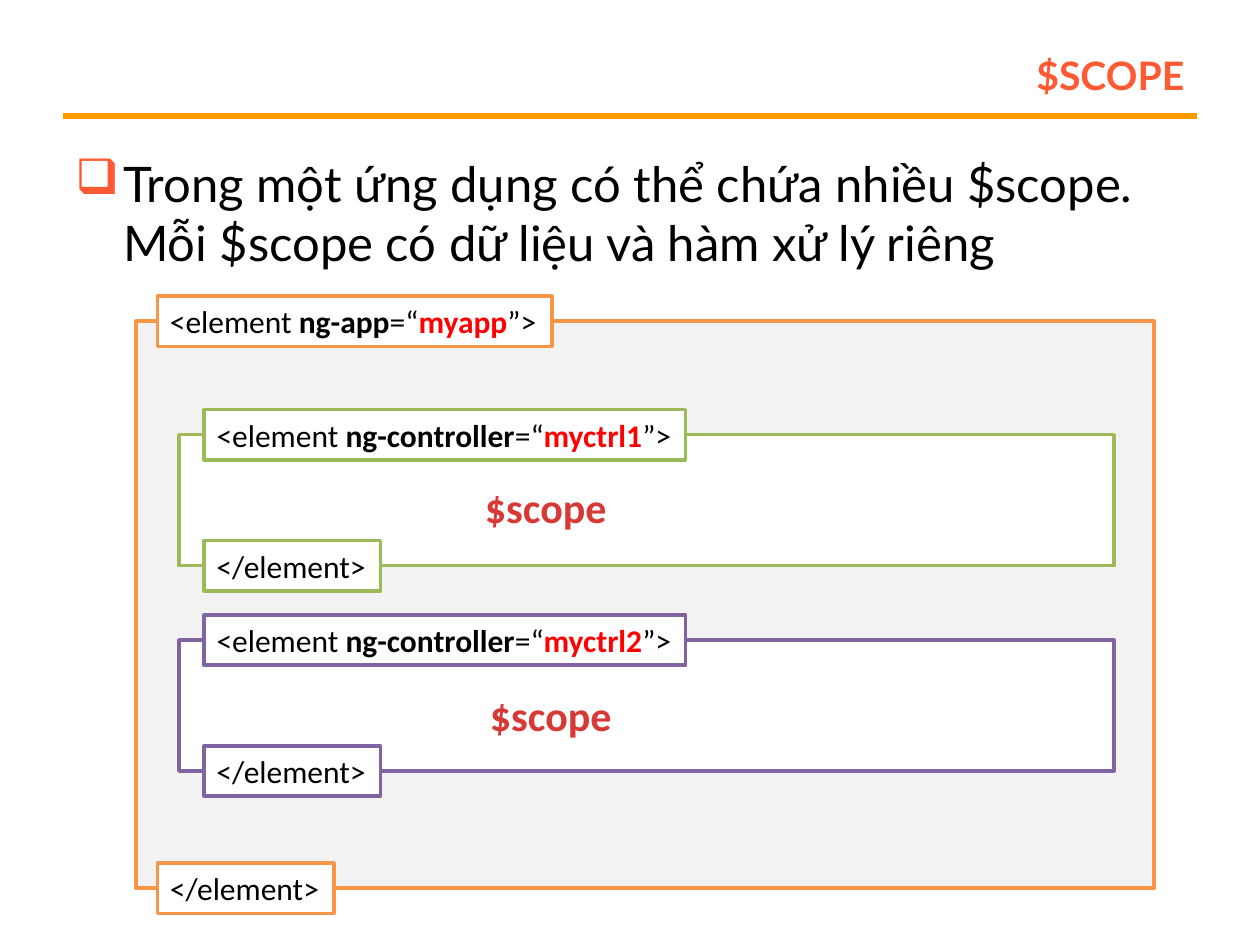
from dataclasses import dataclass

from lxml import etree
from pptx import Presentation
from pptx import util as u
from pptx.dml.color import RGBColor
from pptx.enum import shapes, text
from pptx.oxml.ns import qn

COLOURS = {
    "title": "FF5A33", "rule": "FF9900", "ink": "000000", "value": "FF0000",
    "scope": "D73A36", "white": "FFFFFF", "panel": "F2F2F2",
    "app": "F79646", "ctrl1": "9BBB59", "ctrl2": "8064A2",
}
COLS, ROWS = 100, 75
TAG_H = 4  # rows
CLOSE_W = 14  # columns

prs = Presentation()
prs.slide_width, prs.slide_height = u.Inches(10), u.Inches(7.5)
s = prs.slides.add_slide(prs.slide_layouts[6])


@dataclass
class Run:
    text: str
    size: int = 18
    colour: str = "ink"
    bold: bool = False
    font: str = "Calibri"


@dataclass
class Element:
    """A frame with its opening and closing tags centred on its edges."""
    x: float
    y: float
    w: float
    h: float
    line: str
    fill: str
    directive: str
    value: str
    tag_indent: float
    tag_w: float


def rgb(name: str) -> RGBColor:
    return RGBColor.from_string(COLOURS[name])


def col(n: float) -> int:
    return round(prs.slide_width * n / COLS)


def row(n: float) -> int:
    return round(prs.slide_height * n / ROWS)


def box(x: float, y: float, w: float, h: float) -> tuple:
    return col(x), row(y), col(w), row(h)


def write(sp, runs: list, fit: bool = True, align=text.PP_ALIGN.LEFT,
          anchor=text.MSO_ANCHOR.TOP):
    tf = sp.text_frame
    tf.word_wrap = not fit
    tf.auto_size = (text.MSO_AUTO_SIZE.SHAPE_TO_FIT_TEXT if fit
                    else text.MSO_AUTO_SIZE.NONE)
    tf.vertical_anchor = anchor
    p = tf.paragraphs[0]
    p.alignment = align
    for part in runs:
        r = p.add_run()
        r.text = part.text
        r.font.size, r.font.name = u.Pt(part.size), part.font
        r.font.bold = part.bold
        r.font.color.rgb = rgb(part.colour)
    return p


def rect(x: float, y: float, w: float, h: float, fill: str, line: str):
    sp = s.shapes.add_shape(shapes.MSO_SHAPE.RECTANGLE, *box(x, y, w, h))
    sp.shadow.inherit = False
    sp.fill.solid()
    sp.fill.fore_color.rgb = rgb(fill)
    sp.line.color.rgb = rgb(line)
    sp.line.width = u.Pt(2)
    return sp


def draw_element(e: Element) -> None:
    rect(e.x, e.y, e.w, e.h, e.fill, e.line)
    opening = [Run("<element "), Run(e.directive, bold=True), Run("=“"),
               Run(e.value, colour="value", bold=True), Run("”>")]
    for edge, w, runs in ((e.y, e.tag_w, opening),
                          (e.y + e.h, CLOSE_W, [Run("</element>")])):
        tag = rect(e.x + e.tag_indent, edge - TAG_H / 2, w, TAG_H, "white", e.line)
        write(tag, runs)


def draw_scope(x: float, y: float) -> None:
    label = s.shapes.add_textbox(*box(x, y, 11.8, 5))
    write(label, [Run("$scope", 24, "scope", True)])


# Title and rule
rule = s.shapes.add_connector(shapes.MSO_CONNECTOR.STRAIGHT,
                              col(5), row(9.2), col(95), row(9.2))
rule.line.color.rgb = rgb("rule")
rule.line.width = u.Pt(3)
etree.SubElement(rule._element.spPr, qn("a:effectLst"))

title = s.shapes.add_textbox(*box(22.5, 3, 72.5, 5.3))
p = write(title, [Run("$scope", 28, "title", True, "Lato")], fit=False,
          align=text.PP_ALIGN.RIGHT, anchor=text.MSO_ANCHOR.MIDDLE)
p.runs[0].font._element.set("cap", "small")

# Bulleted statement
body = s.shapes.add_textbox(*box(5, 11.7, 90, 10.8))
p = write(body, [Run("Trong một ứng dụng có thể chứa nhiều $scope. "
                     "Mỗi $scope có dữ liệu và hàm xử lý riêng",
                     28, font="Lato")], fit=False)
pPr = p._p.get_or_add_pPr()
pPr.set("marL", str(col(3.8)))
pPr.set("indent", str(-col(3.8)))
bullet_colour = etree.SubElement(pPr, qn("a:buClr"))
etree.SubElement(bullet_colour, qn("a:srgbClr"), val=COLOURS["title"])
etree.SubElement(pPr, qn("a:buChar"), char="❑")

# Application and its two controllers
draw_element(Element(10.8, 25.5, 80.8, 45, "app", "panel",
                     "ng-app", "myapp", 1.7, 31.3))
for i, y in enumerate((34.5, 50.8), start=1):
    draw_element(Element(14.2, y, 74.2, 10.4, f"ctrl{i}", "white",
                         "ng-controller", f"myctrl{i}", 2, 38.2))

# Scope labels
for x, y in ((37.5, 37.7), (37.9, 54.2)):
    draw_scope(x, y)

prs.save("out.pptx")
